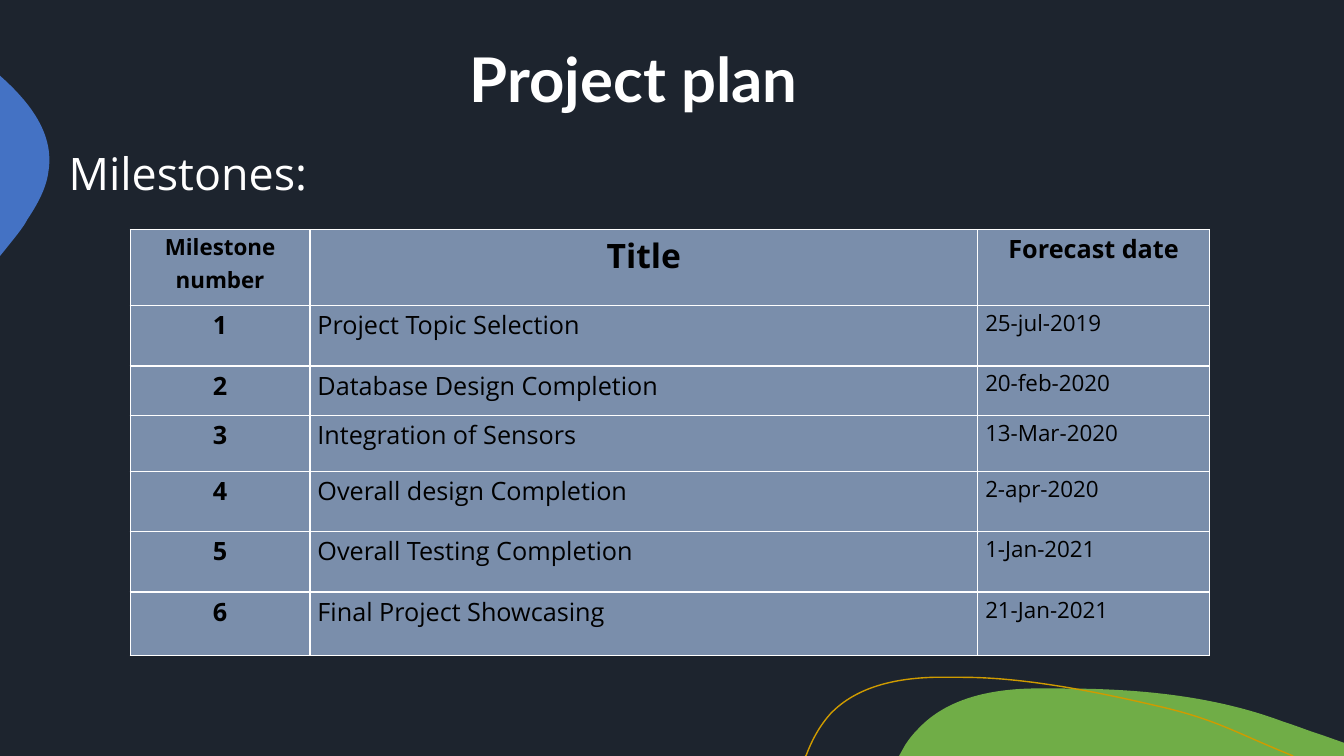
from lxml import etree
from pptx import Presentation
from pptx import util as u
from pptx.dml.color import RGBColor
from pptx.enum import text
from pptx.oxml.ns import qn

Pt = u.Pt
COLORS = {"night": "1D242E", "green": "70AD47", "blue": "4472C4",
          "gold": "CF9B00", "white": "FFFFFF", "black": "000000", "cell": "7A8EAB"}
LEFT, CENTER = text.PP_ALIGN.LEFT, text.PP_ALIGN.CENTER


def add_curve(start, segments, closed):
    builder = s.shapes.build_freeform(Pt(start[0]), Pt(start[1]), scale=1.0)
    builder.add_line_segments([(Pt(seg[-2]), Pt(seg[-1])) for seg in segments], close=closed)
    sp = builder.convert_to_shape()
    sp.shadow.inherit = False
    for line, seg in zip(list(sp._element.iter(qn("a:lnTo"))), segments):
        if len(seg) == 6:
            line.tag = qn("a:cubicBezTo")
            for k in (0, 2):
                pt = etree.Element(qn("a:pt"), x=str(Pt(seg[k]) - sp.left),
                                   y=str(Pt(seg[k + 1]) - sp.top))
                line.insert(k // 2, pt)
    return sp


def write(tf, words, size, font, color, bold, align):
    tf.word_wrap = True
    p = tf.paragraphs[0]
    p.alignment = align
    r = p.add_run()
    r.text = words
    r.font.size = Pt(size)
    r.font.name = font
    r.font.bold = bold
    r.font.color.rgb = RGBColor.from_string(COLORS[color])
    return p


prs = Presentation()
prs.slide_width, prs.slide_height = Pt(960), Pt(540)
s = prs.slides.add_slide(prs.slide_layouts[6])
s.background.fill.solid()
s.background.fill.fore_color.rgb = RGBColor.from_string(COLORS["night"])

green_hill = [(812.2, 491.8, 866.9, 496.8, 916.6, 515.5),
              (925.9, 518.4, 934.6, 522, 943.9, 524.9),
              (960, 530.6), (960, 540), (642.2, 540), (646.6, 532.1),
              (649.4, 527.8, 652.3, 524.2, 655.9, 520.6),
              (676.1, 499, 707, 492.5, 736.6, 491.8),
              (743.8, 491.8, 751, 491.8, 758.9, 491.8)]
blue_bulge = [(0.7, 54.7),
              (21.6, 73.4, 38.9, 95.8, 34.6, 122.4),
              (33.1, 134.6, 26.6, 146.2, 19.4, 157),
              (17.3, 161.3, 12.2, 167.8, 5.8, 175.7),
              (0, 182.9)]
for start, segments, color in [((758.9, 491.8), green_hill, "green"),
                               ((0, 54), blue_bulge, "blue")]:
    sp = add_curve(start, segments, True)
    sp.fill.solid()
    sp.fill.fore_color.rgb = RGBColor.from_string(COLORS[color])
    sp.line.fill.background()

gold_arc = [(576, 539.3),
            (580.3, 527.8, 586.1, 517.7, 593.3, 509.8),
            (612, 490.3, 640.1, 484.6, 666.7, 483.8),
            (687.6, 483.8),
            (735.8, 483.8, 792, 496.1, 831.6, 505.4),
            (870.5, 514.8, 882.7, 523.4, 923.8, 540)]
sp = add_curve((575.3, 540), gold_arc, False)
sp.fill.background()
sp.line.color.rgb = RGBColor.from_string(COLORS["gold"])
sp.line.width = Pt(1)

title = s.shapes.add_textbox(Pt(128.7), Pt(10.4), Pt(648), Pt(90))
title.text_frame.vertical_anchor = text.MSO_ANCHOR.MIDDLE
write(title.text_frame, "Project plan", 44, "Lato", "white", True, CENTER)

heading = s.shapes.add_textbox(Pt(42), Pt(100.4), Pt(648), Pt(356.4))
write(heading.text_frame, "Milestones:", 32, "Open Sans", "white", False, LEFT)

col_widths = [128.4, 477, 165.6]
row_heights = [54.2, 43.2, 35.1, 40, 43.2, 43.2, 45.2]
rows = [("Milestone number", "Title", "Forecast date"),
        ("1", "Project Topic Selection", "25-jul-2019"),
        ("2", "Database Design Completion", "20-feb-2020"),
        ("3", "Integration of Sensors", "13-Mar-2020"),
        ("4", "Overall design Completion", "2-apr-2020"),
        ("5", "Overall Testing Completion", "1-Jan-2021"),
        ("6", "Final Project Showcasing", "21-Jan-2021")]
header_sizes, body_sizes = (16, 24, 18), (18, 18, 16)

table = s.shapes.add_table(len(rows), len(col_widths), Pt(93), Pt(164),
                           Pt(sum(col_widths)), Pt(sum(row_heights))).table
for col, width in zip(table.columns, col_widths):
    col.width = Pt(width)
for i, (row, height) in enumerate(zip(rows, row_heights)):
    table.rows[i].height = Pt(height)
    for j, words in enumerate(row):
        cell = table.cell(i, j)
        cell.margin_left = cell.margin_right = Pt(5.4)
        cell.margin_top = cell.margin_bottom = 0
        strong = i == 0 or j == 0
        size = (body_sizes if i else header_sizes)[j]
        p = write(cell.text_frame, words, size, "Open Sans", "black", strong,
                  CENTER if strong else LEFT)
        p.line_spacing = 1.07
        tcPr = cell._tc.get_or_add_tcPr()
        for side in ("a:lnL", "a:lnR", "a:lnT", "a:lnB"):
            ln = etree.SubElement(tcPr, qn(side), w=str(Pt(1)))
            fill = etree.SubElement(ln, qn("a:solidFill"))
            etree.SubElement(fill, qn("a:srgbClr"), val=COLORS["white"])
        cell.fill.solid()
        cell.fill.fore_color.rgb = RGBColor.from_string(COLORS["cell"])

prs.save("out.pptx")
